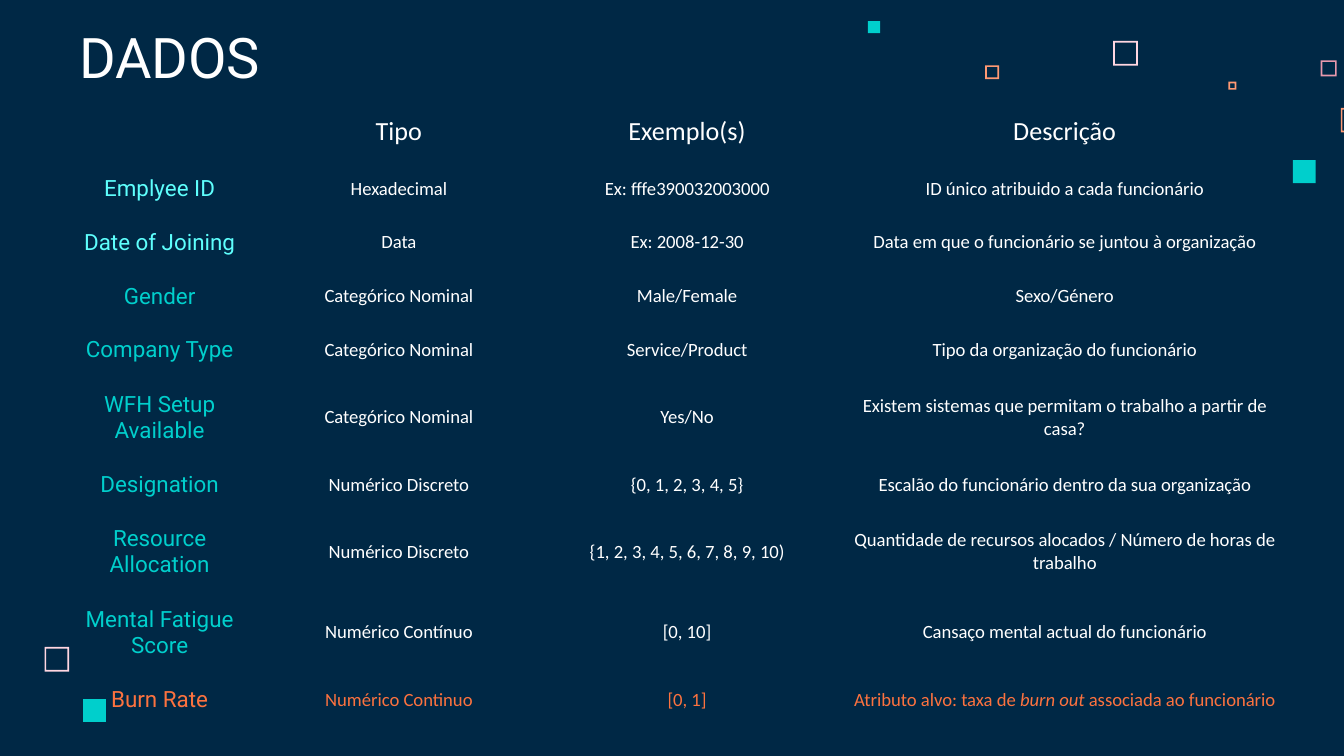
import dataclasses

import pptx
import pptx.dml.color
import pptx.enum.shapes
import pptx.enum.text
import pptx.oxml
import pptx.oxml.ns
import pptx.util

Pt = pptx.util.Pt
SHAPES = pptx.enum.shapes.MSO_SHAPE
ANCHORS = pptx.enum.text.MSO_ANCHOR
CENTER = pptx.enum.text.PP_ALIGN.CENTER


@dataclasses.dataclass(frozen=True)
class Theme:
    background: str = "002845"
    white: str = "FFFFFF"
    aqua: str = "5EFFFD"
    teal: str = "00CFCC"
    orange: str = "FC723F"
    peach: str = "FF9973"
    pink: str = "FFD6E1"
    rose: str = "E898AC"
    heading_font: str = "Roboto"
    body_font: str = "Calibri"
    title_size: int = 30
    header_size: int = 14
    label_size: int = 12
    body_size: int = 10


THEME = Theme()
TITLE = "DADOS"
HEADERS = ["", "Tipo", "Exemplo(s)", "Descrição"]
FIELDS = [
    ("Emplyee ID", "Hexadecimal", "Ex: fffe390032003000",
     "ID único atribuido a cada funcionário"),
    ("Date of Joining", "Data", "Ex: 2008-12-30",
     "Data em que o funcionário se juntou à organização"),
    ("Gender", "Categórico Nominal", "Male/Female", "Sexo/Género"),
    ("Company Type", "Categórico Nominal", "Service/Product",
     "Tipo da organização do funcionário"),
    ("WFH Setup Available", "Categórico Nominal", "Yes/No",
     "Existem sistemas que permitam o trabalho a partir de casa?"),
    ("Designation", "Numérico Discreto", "{0, 1, 2, 3, 4, 5}",
     "Escalão do funcionário dentro da sua organização"),
    ("Resource Allocation", "Numérico Discreto", "{1, 2, 3, 4, 5, 6, 7, 8, 9, 10)",
     "Quantidade de recursos alocados / Número de horas de trabalho"),
    ("Mental Fatigue Score", "Numérico Contínuo", "[0, 10]",
     "Cansaço mental actual do funcionário"),
    ("Burn Rate", "Numérico Continuo", "[0, 1]",
     ("Atributo alvo: taxa de ", "burn out", " associada ao funcionário")),
]
LABEL_COLORS = [THEME.aqua] * 2 + [THEME.teal] * 6 + [THEME.orange]
BODY_COLORS = [THEME.white] * 8 + [THEME.orange]
TWO_LINE_LABELS = {"WFH Setup Available", "Resource Allocation", "Mental Fatigue Score"}

PAGE_SIZE = (720, 405)
TITLE_BOX = (35.3, 10.1, 372, 45.4)
TABLE_LEFT, TABLE_TOP = 31.9, 54.7
COLUMN_WIDTHS = [107.3, 149, 159.8, 244.8]
HEADER_HEIGHT, ROW_HEIGHT, TALL_ROW_HEIGHT = 32, 28.4, 42.5
INSET = 7.2

FRAMES = [
    (596.4, 21.9, 13.2, THEME.pink),
    (707.5, 32.3, 8.6, THEME.rose),
    (658.1, 43.8, 4.3, THEME.peach),
    (718.3, 57.8, 13.2, THEME.peach),
    (527.8, 35, 7.4, THEME.peach),
    (23.9, 346.6, 13.2, THEME.pink),
]
SQUARES = [
    (692.6, 85.8, 12.3, THEME.teal),
    (465, 11.3, 6.5, THEME.teal),
    (44.5, 374.5, 12.3, THEME.teal),
]
FRAME_LINE = 0.9


def rgb(color):
    return pptx.dml.color.RGBColor.from_string(color)


def format_span(span, font, size, color):
    span.font.name = font
    span.font.size = Pt(size)
    span.font.color.rgb = rgb(color)


def add_square(page, kind, left, top, side, color):
    square = page.shapes.add_shape(kind, Pt(left), Pt(top), Pt(side), Pt(side))
    square.shadow.inherit = False
    square.fill.solid()
    square.fill.fore_color.rgb = rgb(color)
    square.line.fill.background()
    return square


def add_decorations(page):
    for left, top, side, color in FRAMES:
        frame = add_square(page, SHAPES.FRAME, left, top, side, color)
        frame.adjustments[0] = round(FRAME_LINE / side, 2)
    for square in SQUARES:
        add_square(page, SHAPES.RECTANGLE, *square)


def add_title(page):
    box = page.shapes.add_textbox(*map(Pt, TITLE_BOX))
    text = box.text_frame
    text.word_wrap = True
    text.vertical_anchor = ANCHORS.BOTTOM
    text.margin_left = text.margin_right = text.margin_top = text.margin_bottom = Pt(INSET)
    text.text = TITLE
    format_span(text.paragraphs[0].runs[0], THEME.heading_font, THEME.title_size, THEME.white)


def clear_cell(cell):
    properties = cell._tc.get_or_add_tcPr()
    for side in ("lnL", "lnR", "lnT", "lnB"):
        border = pptx.oxml.parse_xml(
            f'<a:{side} {pptx.oxml.ns.nsdecls("a")} w="0"><a:noFill/></a:{side}>'
        )
        properties.append(border)
    cell.fill.background()


def fill_cell(cell, content, anchor, font, size, color):
    clear_cell(cell)
    cell.vertical_anchor = anchor
    cell.margin_left = cell.margin_right = Pt(INSET)
    cell.margin_top = cell.margin_bottom = Pt(INSET if content else 0)
    para = cell.text_frame.paragraphs[0]
    para.alignment = CENTER
    parts = (content,) if isinstance(content, str) else content
    for index, part in enumerate(filter(None, parts)):
        span = para.add_run()
        span.text = part
        format_span(span, font, size, color)
        if index % 2:
            span.font.italic = True


def add_fields_table(page):
    heights = [HEADER_HEIGHT] + [
        TALL_ROW_HEIGHT if field[0] in TWO_LINE_LABELS else ROW_HEIGHT for field in FIELDS
    ]
    table = page.shapes.add_table(
        len(heights), len(HEADERS), Pt(TABLE_LEFT), Pt(TABLE_TOP),
        Pt(sum(COLUMN_WIDTHS)), Pt(sum(heights)),
    ).table
    table.first_row = table.horz_banding = False
    for column, width in zip(table.columns, COLUMN_WIDTHS):
        column.width = Pt(width)
    for row, height in zip(table.rows, heights):
        row.height = Pt(height)

    for cell, header in zip(table.rows[0].cells, HEADERS):
        fill_cell(cell, header, ANCHORS.TOP, THEME.body_font, THEME.header_size, THEME.white)
    for index, (field, label_color, body_color) in enumerate(
        zip(FIELDS, LABEL_COLORS, BODY_COLORS), start=1
    ):
        label_style = (THEME.heading_font, THEME.label_size, label_color)
        body_style = (THEME.body_font, THEME.body_size, body_color)
        styles = [label_style] + [body_style] * (len(field) - 1)
        for cell, content, style in zip(table.rows[index].cells, field, styles):
            fill_cell(cell, content, ANCHORS.MIDDLE, *style)


def main():
    """Build the slide that describes the fields of the employee data set."""
    deck = pptx.Presentation()
    deck.slide_width, deck.slide_height = map(Pt, PAGE_SIZE)
    page = deck.slides.add_slide(deck.slide_layouts[6])
    page.background.fill.solid()
    page.background.fill.fore_color.rgb = rgb(THEME.background)
    add_decorations(page)
    add_title(page)
    add_fields_table(page)
    deck.save("out.pptx")


if __name__ == "__main__":
    main()
